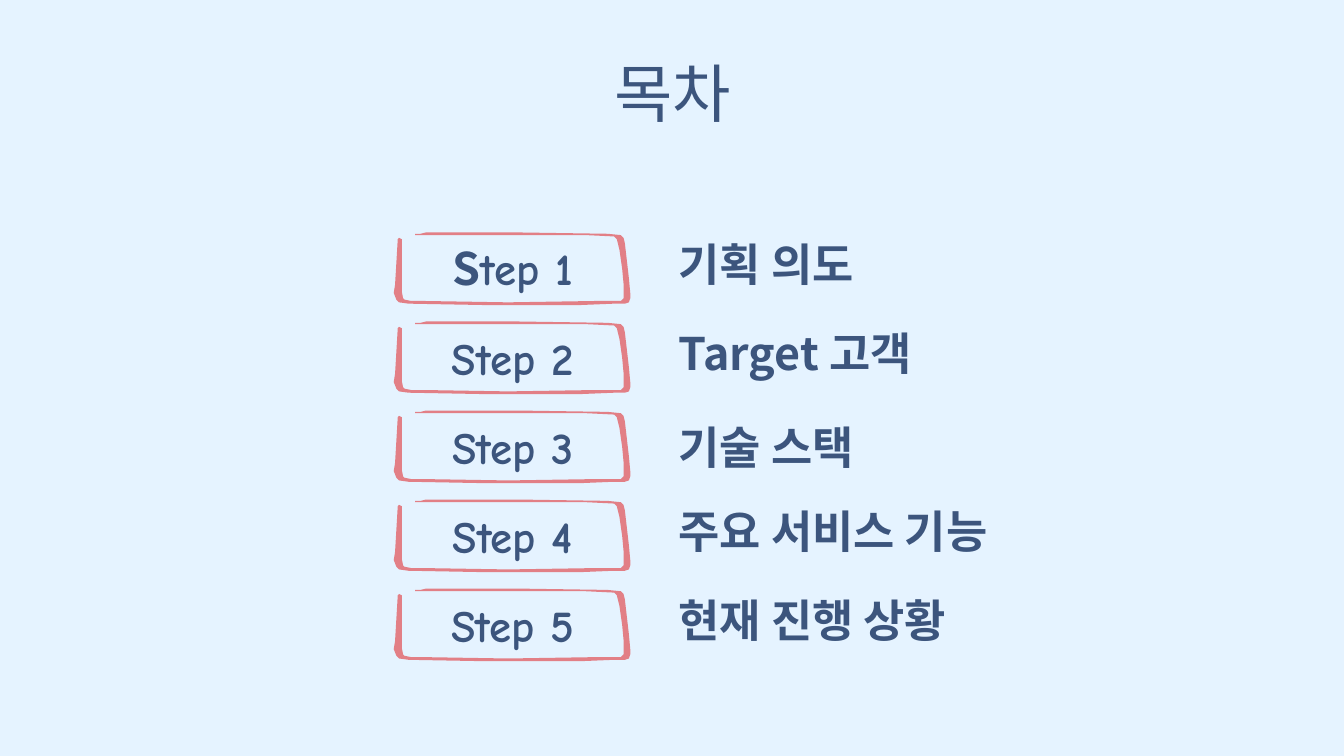
from dataclasses import dataclass

from lxml import etree
from pptx import Presentation
from pptx.dml.color import RGBColor
from pptx.enum import text
from pptx.oxml import ns
from pptx.util import Inches, Pt


@dataclass(frozen=True)
class Theme:
    """Colours, fonts and type sizes of the deck."""
    background: RGBColor = RGBColor(0xE5, 0xF3, 0xFF)
    ink: RGBColor = RGBColor(0x3C, 0x55, 0x7D)
    frame: RGBColor = RGBColor(0xE2, 0x7F, 0x86)
    korean: str = "Noto Sans CJK KR"
    comic: str = "Comic Neue"
    title_size: int = 34
    item_size: int = 24


THEME = Theme()
FIRST_ROW = 1.73
LAST_ROW = 4.38
TOPICS = [
    ("기획 의도", 0),
    ("Target 고객", 0),
    ("기술 스택", 0.04),
    ("주요 서비스 기능", 0),
    ("현재 진행 상황", 0),
]
ROW_PITCH = (LAST_ROW - FIRST_ROW) / (len(TOPICS) - 1)
FRAME_OUTLINE = [
    (0.59, 0), (0.24, 0), (0.2, 0.01), (0.16, 0.01), (0.16, 0.02),
    (0.25, 0.02), (0.71, 0.02), (1.43, 0.02), (1.64, 0.03), (1.66, 0.05),
    (1.68, 0.13), (1.7, 0.27), (1.71, 0.38), (1.71, 0.49), (1.69, 0.51),
    (1.51, 0.51), (0.85, 0.52), (0.22, 0.51), (0.13, 0.51), (0.08, 0.5),
    (0.07, 0.49), (0.06, 0.44), (0.06, 0.12), (0.06, 0.05), (0.04, 0.04),
    (0.03, 0.05), (0.01, 0.39), (0, 0.45), (0.02, 0.5), (0.04, 0.52),
    (0.11, 0.53), (0.67, 0.54), (0.88, 0.54), (1.39, 0.54), (1.64, 0.53),
    (1.72, 0.53), (1.75, 0.52), (1.76, 0.49), (1.76, 0.45), (1.75, 0.34),
    (1.72, 0.08), (1.71, 0.04), (1.69, 0.02), (1.59, 0.01), (0.93, 0),
]


def apply_format(target, values):
    """Set every attribute named in values on target."""
    for name, value in values.items():
        setattr(target, name, value)


def add_span(para, wording, font, size, bold):
    """Append a run with its own Latin typeface and the Korean one."""
    span = para.add_run()
    span.text = wording
    apply_format(span.font, {"name": font, "size": Pt(size), "bold": bold})
    span.font.color.rgb = THEME.ink
    east_asian = etree.SubElement(span.font._element, ns.qn("a:ea"))
    east_asian.set("typeface", THEME.korean)


def add_text(page, place, spans, size, anchor, align, bold=True, spacing=1.0):
    """Add a one-paragraph text box made of (wording, font) spans."""
    box = page.shapes.add_textbox(*map(Inches, place))
    apply_format(box.text_frame, {
        "word_wrap": True,
        "vertical_anchor": anchor,
        "margin_left": Inches(0.1),
        "margin_right": Inches(0.1),
        "margin_top": 0,
        "margin_bottom": 0,
    })
    para = box.text_frame.paragraphs[0]
    apply_format(para, {"alignment": align, "line_spacing": spacing})
    for wording, font in spans:
        add_span(para, wording, font, size, bold)


def add_frame(page, left, top):
    """Draw a hand-sketched frame with its corner at left, top."""
    points = [(Inches(x), Inches(y)) for x, y in FRAME_OUTLINE]
    builder = page.shapes.build_freeform(*points[0])
    builder.add_line_segments(points[1:], close=True)
    frame = builder.convert_to_shape(Inches(left), Inches(top))
    frame.shadow.inherit = False
    frame.fill.solid()
    frame.fill.fore_color.rgb = THEME.frame
    frame.line.fill.background()


def add_step(page, number, topic, shift):
    """Add one row: frame, step label and topic."""
    top = FIRST_ROW + (number - 1) * ROW_PITCH
    label = [(f"Step {number}", THEME.comic)]
    if number == 1:
        label = [("S", THEME.korean), ("tep 1", THEME.comic)]
    add_frame(page, 2.93, top)
    add_text(page, (2.97, top + 0.05, 1.69, 0.43), label, THEME.item_size,
             text.MSO_ANCHOR.MIDDLE, text.PP_ALIGN.CENTER)
    add_text(page, (4.95, top + shift, 3.08, 0.43), [(topic, THEME.korean)],
             THEME.item_size, text.MSO_ANCHOR.BOTTOM, text.PP_ALIGN.LEFT)


def main():
    """Build the contents slide and save it."""
    deck = Presentation()
    width = Inches(10)
    apply_format(deck, {"slide_width": width, "slide_height": width * 9 // 16})
    page = deck.slides.add_slide(deck.slide_layouts[6])
    page.background.fill.solid()
    page.background.fill.fore_color.rgb = THEME.background
    add_text(page, (0.79, 0.51, 8.43, 0.54), [("목차", THEME.korean)],
             THEME.title_size, text.MSO_ANCHOR.TOP, text.PP_ALIGN.CENTER,
             bold=False, spacing=0.8)
    for number, (topic, shift) in enumerate(TOPICS, 1):
        add_step(page, number, topic, shift)
    deck.save("out.pptx")


if __name__ == "__main__":
    main()
